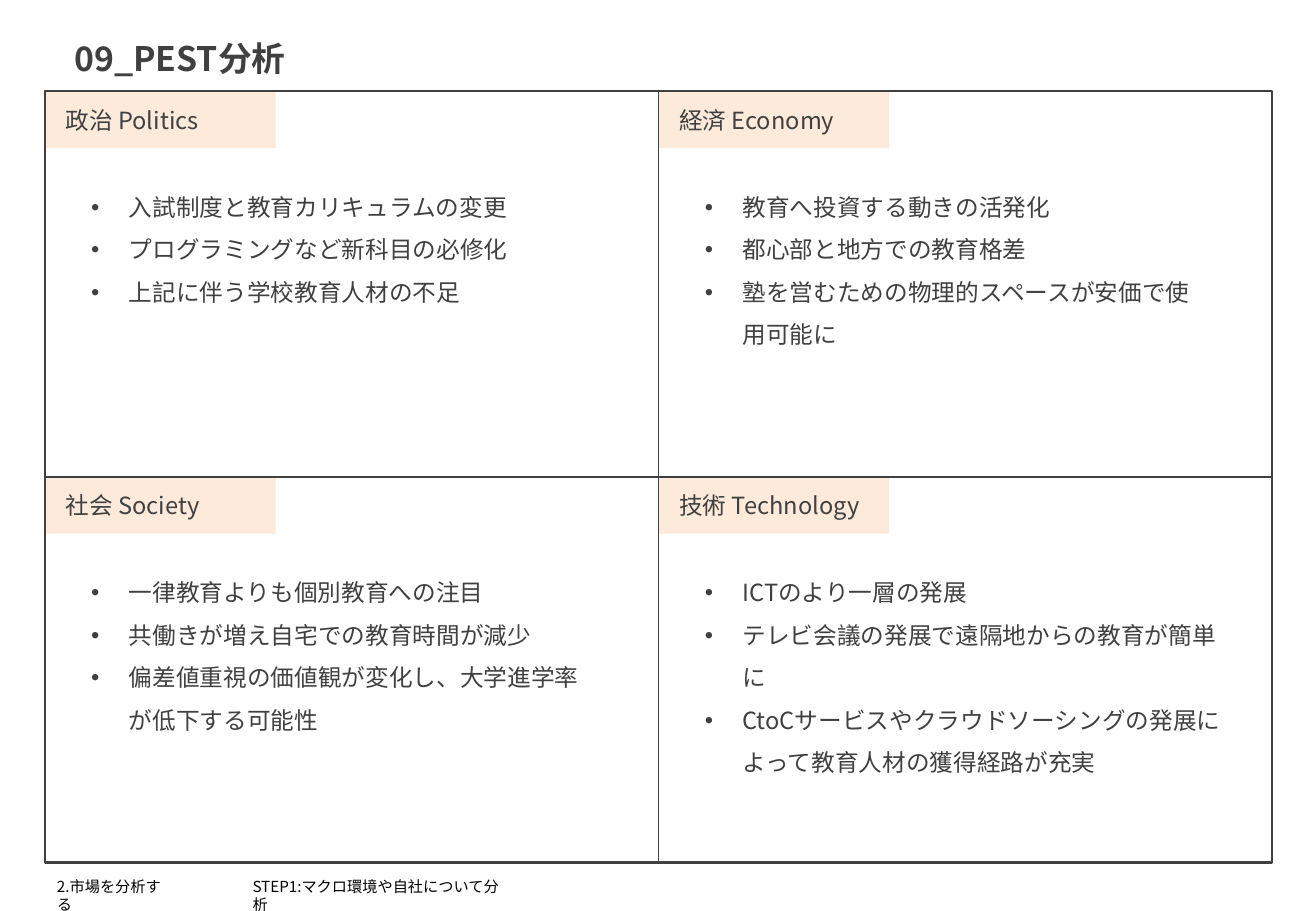
"""Build a PEST analysis slide: a titled two-by-two grid with a list in each cell."""
from lxml.etree import SubElement as Sub
from pptx import Presentation
from pptx.dml.color import RGBColor as RGB
from pptx.enum.shapes import MSO_CONNECTOR as Link, MSO_SHAPE as Form
from pptx.enum.text import MSO_ANCHOR as Anchor, MSO_AUTO_SIZE as Fit, PP_ALIGN as Align
from pptx.oxml.ns import qn
from pptx.util import Inches, Pt

THEME = {
    "face": "Noto Sans CJK JP",
    "ink": RGB.from_string("404040"),
    "black": RGB.from_string("000000"),
    "peach": RGB.from_string("FDEADA"),
    "head": Pt(20), "text": Pt(14), "foot": Pt(9),
    "frame": Pt(1.5), "rule": Pt(1),
}
WIDE, HIGH = Inches(10.83), Inches(7.5)
LEFT, TOP, COL, ROW = 3.41, 10, 46.62, 42.33
LINE, PAD = 4.73, 1.33
CELLS = [
    (0, 0, "政治 Politics", 40.45, 3, [
        "入試制度と教育カリキュラムの変更",
        "プログラミングなど新科目の必修化",
        "上記に伴う学校教育人材の不足"]),
    (1, 0, "経済 Economy", 40.45, 4, [
        "教育へ投資する動きの活発化",
        "都心部と地方での教育格差",
        "塾を営むための物理的スペースが安価で使用可能に"]),
    (0, 1, "社会 Society", 40.45, 4, [
        "一律教育よりも個別教育への注目",
        "共働きが増え自宅での教育時間が減少",
        "偏差値重視の価値観が変化し、大学進学率が低下する可能性"]),
    (1, 1, "技術 Technology", 42.1, 5, [
        "ICTのより一層の発展",
        "テレビ会議の発展で遠隔地からの教育が簡単に",
        "CtoCサービスやクラウドソーシングの発展によって教育人材の獲得経路が充実"]),
]
FEET = [(3.42, 10.62, "2.市場を分析する"),
        (18.28, 20.87, "STEP1:マクロ環境や自社について分析")]


def span(x, y, w, h):
    """Turn percent shares of the slide into lengths."""
    return [int(part * full / 100)
            for part, full in zip((x, y, w, h), (WIDE, HIGH, WIDE, HIGH))]


def write(shape, lines, size, ink="ink", bold=False, anchor=Anchor.TOP, fit=Fit.SHAPE_TO_FIT_TEXT):
    """Fill a shape with left-aligned lines in the theme font."""
    frame = shape.text_frame
    for name, value in {"word_wrap": True, "auto_size": fit, "vertical_anchor": anchor}.items():
        setattr(frame, name, value)
    frame.text = "\n".join(lines)
    for para in frame.paragraphs:
        para.alignment = Align.LEFT
        font = para.runs[0].font
        for name, value in {"name": THEME["face"], "size": THEME[size], "bold": bold}.items():
            setattr(font, name, value)
        font.color.rgb = THEME[ink]
        Sub(para.runs[0]._r.get_or_add_rPr(), qn("a:ea"), typeface=THEME["face"])


deck = Presentation()
deck.slide_width, deck.slide_height = WIDE, HIGH
slide = deck.slides.add_slide(deck.slide_layouts[4])
shapes = slide.shapes
title, *lists = slide.placeholders

title.left, title.top, title.width, title.height = span(4.71, 3.47, 19.2, 5.87)
write(title, ["09_PEST分析"], "head", bold=True)

for body, (col, row, label, wide, count, items) in zip(lists, CELLS):
    x, y = LEFT + col * COL, TOP + row * ROW
    tab = shapes.add_shape(Form.RECTANGLE, *span(x, y, 17.54, 6.27))
    tab.shadow.inherit = False
    tab.fill.solid()
    tab.fill.fore_color.rgb = THEME["peach"]
    tab.line.fill.background()
    tab.text_frame.margin_left = int(WIDE * 1.57 / 100)
    write(tab, [label], "text", anchor=Anchor.MIDDLE, fit=Fit.NONE)

    body.left, body.top, body.width, body.height = span(
        x + 2.6, y + 8.93, wide, count * LINE + PAD)
    write(body, items, "text")
    for para in body.text_frame.paragraphs:
        props = para._p.get_or_add_pPr()
        props.set("marL", str(Inches(0.31)))
        props.set("indent", str(-Inches(0.31)))
        Sub(props, qn("a:buFont"), typeface="Arial")
        Sub(props, qn("a:buChar"), char="•")
        for name, value in {"line_spacing": 1.5, "space_before": Pt(0)}.items():
            setattr(para, name, value)

frame = shapes.add_shape(Form.RECTANGLE, *span(LEFT, TOP, 2 * COL, 2 * ROW))
frame.shadow.inherit = False
frame.fill.background()
frame.line.color.rgb = THEME["ink"]
frame.line.width = THEME["frame"]

for start, end in ((1, 3), (0, 2)):
    rule = shapes.add_connector(Link.STRAIGHT, 0, 0, 0, 0)
    rule.begin_connect(frame, start)
    rule.end_connect(frame, end)
    rule.line.color.rgb = THEME["ink"]
    rule.line.width = THEME["rule"]
    Sub(rule._element.spPr, qn("a:effectLst"))

for x, wide, label in FEET:
    note = shapes.add_textbox(*span(x, 95.6, wide, 3.33))
    write(note, [label], "foot", ink="black")

deck.save("out.pptx")
